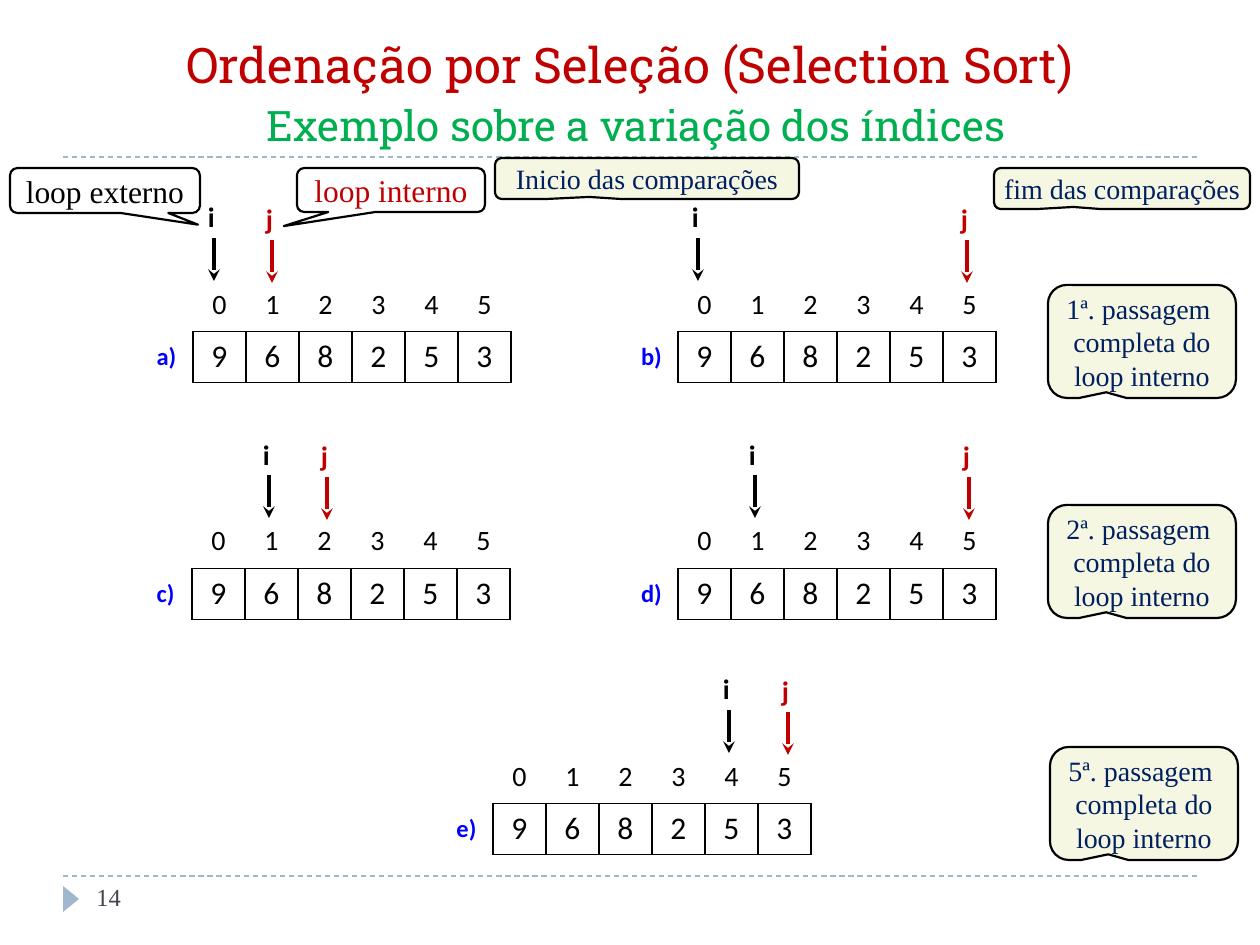
from dataclasses import dataclass

from lxml import etree
from pptx import Presentation
from pptx.dml.color import RGBColor
from pptx.enum.dml import MSO_LINE
from pptx.enum.shapes import MSO_CONNECTOR, MSO_SHAPE
from pptx.enum.text import MSO_ANCHOR, PP_ALIGN
from pptx.oxml.ns import qn
from pptx.util import Emu, Pt

DASH = MSO_LINE.DASH
STRAIGHT = MSO_CONNECTOR.STRAIGHT
CALLOUT = MSO_SHAPE.ROUNDED_RECTANGULAR_CALLOUT
TRIANGLE = MSO_SHAPE.ISOSCELES_TRIANGLE
CENTER, LEFT = PP_ALIGN.CENTER, PP_ALIGN.LEFT
TOP, MIDDLE, BOTTOM = MSO_ANCHOR.TOP, MSO_ANCHOR.MIDDLE, MSO_ANCHOR.BOTTOM

EMU_PER_PX = 914400 / 126
PLAIN_TABLE_STYLE = "{2D5ABB26-0587-4C30-8999-92F81FD0307C}"

COLORS = {
    "black": "000000",
    "white": "FFFFFF",
    "red": "C00000",
    "green": "00B050",
    "blue": "0000FF",
    "navy": "002060",
    "cream": "F6F7E3",
    "steel": "9FB8CD",
    "slate": "464653",
}

FORMATS = {
    "title": {"name": "Roboto Slab", "size": Pt(28), "bold": False},
    "subtitle": {"name": "Roboto Slab", "size": Pt(24), "bold": False},
    "page": {"name": "Times New Roman", "size": Pt(14), "bold": False},
    "loop": {"name": "Times New Roman", "size": Pt(18), "bold": False},
    "note": {"name": "Times New Roman", "size": Pt(16), "bold": False},
    "index": {"name": "Calibri", "size": Pt(16), "bold": False},
    "value": {"name": "Calibri", "size": Pt(18), "bold": False},
    "label": {"name": "Calibri", "size": Pt(14), "bold": True},
    "marker": {"name": "Calibri", "size": Pt(16), "bold": True},
}

VALUES = (9, 6, 8, 2, 5, 3)
COLUMN_WIDTH, INDEX_HEIGHT, VALUE_HEIGHT = 53, 47, 51
MARKER_WIDTH, ARROW_OFFSET, ARROW_LENGTH = 57, 43, 43
I_RISE, J_RISE = 86, 84


@dataclass(frozen=True)
class Step:
    label: str
    left: int
    top: int
    i_left: int
    j_left: int


@dataclass(frozen=True)
class Callout:
    lines: tuple[str, ...]
    left: int
    top: int
    width: int
    height: int
    pointer: tuple[float, float] = (-0.19, 0.45)
    style: str = "note"
    color: str = "navy"
    fill: str = "cream"


STEPS = (
    Step("a)", 140, 281, 186, 244),
    Step("b)", 625, 281, 670, 939),
    Step("c)", 139, 518, 241, 299),
    Step("d)", 625, 518, 727, 941),
    Step("e)", 440, 753, 701, 760),
)

PASSES = (("1ª", 1048, 285), ("2ª", 1048, 505), ("5ª", 1050, 747))

CALLOUTS = (
    Callout(("loop interno",), 297, 168, 188, 44, (-0.57, 0.82), "loop", "red", "white"),
    Callout(("loop externo",), 10, 168, 190, 45, (0.49, 0.76), "loop", "black", "white"),
    *(
        Callout((f"{number}. passagem ", "completa do", "loop interno"), left, top, 188, 113)
        for number, left, top in PASSES
    ),
    Callout(("Inicio das comparações",), 495, 158, 304, 41),
    Callout(("fim das comparações",), 994, 168, 256, 41),
)


def px(length: float) -> Emu:
    return Emu(round(length * EMU_PER_PX))


def rgb(color: str) -> RGBColor:
    return RGBColor.from_string(COLORS[color])


def add_run(paragraph, text: str, style: str, color: str) -> None:
    run = paragraph.add_run()
    run.text = text
    for attribute, value in FORMATS[style].items():
        setattr(run.font, attribute, value)
    run.font.color.rgb = rgb(color)


def add_text_box(slide, left: int, top: int, width: int, height: int, anchor, alignment):
    """Add an empty wrapping text box and return its first paragraph."""
    frame = slide.shapes.add_textbox(px(left), px(top), px(width), px(height)).text_frame
    frame.word_wrap = True
    frame.vertical_anchor = anchor
    paragraph = frame.paragraphs[0]
    paragraph.alignment = alignment
    return paragraph


def add_line(slide, start: tuple[int, int], end: tuple[int, int], color: str,
             width: float, dashed: bool = False, arrow: bool = False) -> None:
    connector = slide.shapes.add_connector(STRAIGHT, *map(px, start + end))
    connector.line.color.rgb = rgb(color)
    connector.line.width = Pt(width)
    if dashed:
        connector.line.dash_style = DASH
    if arrow:
        line = connector.line._get_or_add_ln()
        etree.SubElement(line, qn("a:tailEnd"), type="stealth")
    etree.SubElement(connector._element.spPr, qn("a:effectLst"))


def add_plain_table(slide, left: int, top: int, widths: list[int], heights: list[int]):
    """Add a table without banding or borders."""
    frame = slide.shapes.add_table(
        len(heights), len(widths), px(left), px(top), px(sum(widths)), px(sum(heights)))
    table = frame.table
    table.first_row = table.horz_banding = False
    table._tbl.tblPr.find(qn("a:tableStyleId")).text = PLAIN_TABLE_STYLE
    for column, width in zip(table.columns, widths):
        column.width = px(width)
    for row, height in zip(table.rows, heights):
        row.height = px(height)
    return table


def fill_cell(cell, text: str, style: str, color: str, anchor=TOP, borders: str = "") -> None:
    """Write a cell; borders names the ruled sides in the order L, R, T, B."""
    properties = cell._tc.get_or_add_tcPr()
    for side in borders:
        line = etree.SubElement(properties, qn(f"a:ln{side}"), w=str(Pt(1)))
        solid = etree.SubElement(line, qn("a:solidFill"))
        etree.SubElement(solid, qn("a:srgbClr"), val=COLORS["black"])
    cell.fill.background()
    cell.vertical_anchor = anchor
    paragraph = cell.text_frame.paragraphs[0]
    paragraph.alignment = CENTER
    add_run(paragraph, text, style, color)


def add_marker(slide, name: str, left: int, top: int, color: str) -> None:
    table = add_plain_table(slide, left, top, [MARKER_WIDTH], [INDEX_HEIGHT])
    fill_cell(table.cell(0, 0), f"{name} ", "marker", color)
    center, start = left + MARKER_WIDTH // 2, top + ARROW_OFFSET
    add_line(slide, (center, start), (center, start + ARROW_LENGTH), color, 2.25, arrow=True)


def add_step(slide, step: Step) -> None:
    widths = [COLUMN_WIDTH] * (len(VALUES) + 1)
    table = add_plain_table(slide, step.left, step.top, widths, [INDEX_HEIGHT, VALUE_HEIGHT])
    table.cell(0, 0).fill.background()
    fill_cell(table.cell(1, 0), step.label, "label", "blue", MIDDLE, "R")
    for index, value in enumerate(VALUES):
        fill_cell(table.cell(0, index + 1), str(index), "index", "black", borders="B")
        fill_cell(table.cell(1, index + 1), str(value), "value", "black", MIDDLE, "LRTB")
    add_marker(slide, "i", step.i_left, step.top - I_RISE, "black")
    add_marker(slide, "j", step.j_left, step.top - J_RISE, "red")


def add_callout(slide, callout: Callout) -> None:
    shape = slide.shapes.add_shape(
        CALLOUT, px(callout.left), px(callout.top), px(callout.width), px(callout.height))
    shape.shadow.inherit = False
    shape.adjustments[0], shape.adjustments[1] = callout.pointer
    shape.fill.solid()
    shape.fill.fore_color.rgb = rgb(callout.fill)
    shape.line.color.rgb = rgb(COLOR_OF_OUTLINE)
    shape.line.width = Pt(1.25)
    frame = shape.text_frame
    frame.vertical_anchor = MIDDLE
    for side in ("left", "top", "right", "bottom"):
        setattr(frame, f"margin_{side}", 0)
    for position, text in enumerate(callout.lines):
        paragraph = frame.add_paragraph() if position else frame.paragraphs[0]
        paragraph.alignment = CENTER
        add_run(paragraph, text, callout.style, callout.color)


COLOR_OF_OUTLINE = "black"


def add_frame(slide) -> None:
    """Add the rules, title and page number."""
    for y in (876, 157):
        add_line(slide, (63, y), (1197, y), "steel", 0.75, dashed=True)
    pointer = slide.shapes.add_shape(TRIANGLE, px(58), px(891), px(26), px(16))
    pointer.rotation = 90
    pointer.shadow.inherit = False
    pointer.fill.solid()
    pointer.fill.fore_color.rgb = rgb("steel")
    pointer.line.fill.background()
    title = add_text_box(slide, 63, 32, 1134, 126, BOTTOM, CENTER)
    add_run(title, "Ordenação por Seleção (Selection Sort)", "title", "red")
    title.add_line_break()
    add_run(title, " ", "title", "red")
    add_run(title, "Exemplo sobre a variação dos índices", "subtitle", "green")
    add_run(add_text_box(slide, 84, 876, 273, 50, TOP, LEFT), "14", "page", "slate")


def main() -> None:
    presentation = Presentation()
    presentation.slide_width, presentation.slide_height = px(1260), px(945)
    slide = presentation.slides.add_slide(presentation.slide_layouts[6])
    add_frame(slide)
    for step in STEPS:
        add_step(slide, step)
    for callout in CALLOUTS:
        add_callout(slide, callout)
    presentation.save("out.pptx")


if __name__ == "__main__":
    main()
